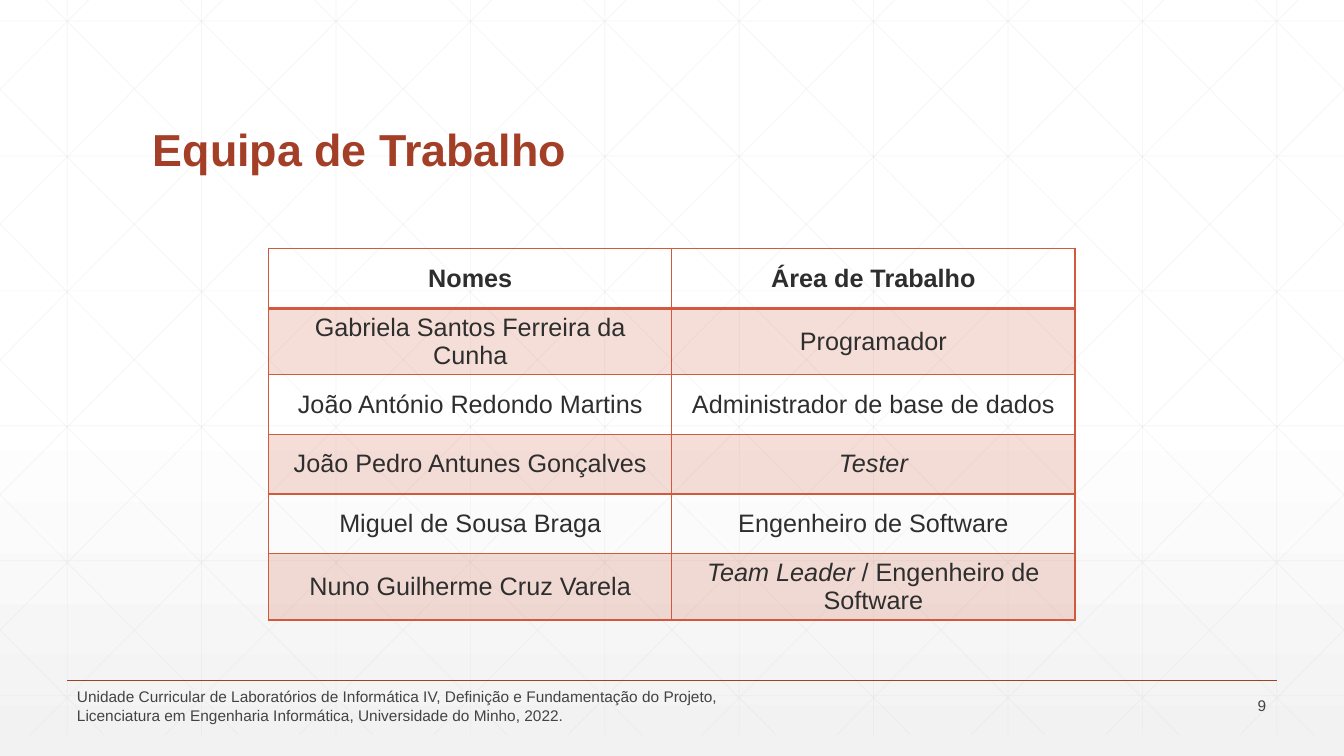
from dataclasses import dataclass
from typing import Any, NamedTuple

from lxml.etree import SubElement
from pptx import Presentation
from pptx.dml.color import RGBColor as Rgb
from pptx.enum.shapes import MSO_CONNECTOR as Connector
from pptx.enum.text import MSO_ANCHOR as Anchor, MSO_AUTO_SIZE as AutoSize, PP_ALIGN as Align
from pptx.oxml.ns import qn
from pptx.util import Cm, Pt


@dataclass(frozen=True)
class Theme:
    """Colours, font and type sizes of the slide."""
    font: str = "Arial"
    heading: str = "A43F27"
    accent: str = "D15A3E"
    body: str = "2D2E2D"
    footer: str = "424342"
    mesh: str = "D9D9D9"
    paper: str = "FFFFFF"
    paper_end: str = "F2F2F2"
    title_size: int = 32
    table_size: int = 18
    footer_size: int = 11
    mesh_opacity: int = 25
    band_opacity: int = 20


class Segment(NamedTuple):
    """A straight line between two points, in centimetres."""
    x1: float
    y1: float
    x2: float
    y2: float

    def mirrored(self) -> "Segment":
        """Reflect the line about the vertical middle of the slide."""
        return Segment(WIDTH - self.x1, self.y1, WIDTH - self.x2, self.y2)


class Span(NamedTuple):
    """A stretch of text in one style."""
    text: str
    italic: bool = False


class Member(NamedTuple):
    """A person of the team and the parts of their role."""
    name: str
    role: tuple[Span, ...]


class FooterNote(NamedTuple):
    """A small text at the foot of the slide, in centimetres."""
    text: str
    left: float
    width: float
    align: Align


THEME = Theme()
WIDTH, HEIGHT = 33.87, 19.05
MESH_TOP, MESH_BOTTOM = -0.53, 18.52
MESH_STEP = WIDTH / 10
MESH_ROW_TOP, MESH_ROW_STEP = 0.53, 3.4
DIAGONAL_START, DIAGONAL_RUN = 0.63, 18.93
HEADINGS = ("Nomes", "Área de Trabalho")
TEAM = (
    Member("Gabriela Santos Ferreira da Cunha", (Span("Programador"),)),
    Member("João António Redondo Martins", (Span("Administrador de base de dados"),)),
    Member("João Pedro Antunes Gonçalves", (Span("Tester", True),)),
    Member("Miguel de Sousa Braga", (Span("Engenheiro de Software"),)),
    Member("Nuno Guilherme Cruz Varela",
           (Span("Team Leader ", True), Span("/ Engenheiro de Software"))),
)
FOOTER = (
    FooterNote("9", 29.62, 2.54, Align.RIGHT),
    FooterNote("Unidade Curricular de Laboratórios de Informática IV, Definição e "
               "Fundamentação do Projeto, Licenciatura em Engenharia Informática, "
               "Universidade do Minho, 2022.", 1.69, 17.02, Align.LEFT),
)


def apply(target: Any, values: dict[str, Any]) -> None:
    """Set each named attribute on the target."""
    for attribute, value in values.items():
        setattr(target, attribute, value)


def set_opacity(parent: Any, percent: int) -> None:
    """Make the RGB colour found under an XML element see-through."""
    colour = next(parent.iter(qn("a:srgbClr")))
    SubElement(colour, qn("a:alpha"), val=str(percent * 1000))


def write(paragraph: Any, spans: tuple[Span, ...], size: int, colour: str,
          align: Align, bold: bool = False) -> None:
    """Write styled runs into a paragraph."""
    paragraph.alignment = align
    for span in spans:
        run = paragraph.add_run()
        run.text = span.text
        apply(run.font, {"name": THEME.font, "size": Pt(size), "bold": bold,
                         "italic": span.italic})
        run.font.color.rgb = Rgb.from_string(colour)


def draw_line(slide: Any, segment: Segment, colour: str, weight: float,
              opacity: int = 100) -> None:
    """Draw one straight line without a shadow."""
    line = slide.shapes.add_connector(Connector.STRAIGHT, *map(Cm, segment))
    line.line.width = Pt(weight)
    line.line.color.rgb = Rgb.from_string(colour)
    properties = line._element.spPr
    if opacity < 100:
        set_opacity(properties, opacity)
    SubElement(properties, qn("a:effectLst"))


def diagonal(start: float) -> Segment:
    """Give a falling diagonal, cut at the sides of the slide."""
    slope = (MESH_BOTTOM - MESH_TOP) / DIAGONAL_RUN
    left, right = max(start, 0), min(start + DIAGONAL_RUN, WIDTH)
    return Segment(left, MESH_TOP + (left - start) * slope,
                   right, MESH_TOP + (right - start) * slope)


def draw_background(slide: Any) -> None:
    """Paint the gradient and the mesh of fine lines."""
    fill = slide.background.fill
    fill.gradient()
    fill.gradient_angle = 270
    for stop, position, colour in zip(fill.gradient_stops, (0.53, 1),
                                      (THEME.paper, THEME.paper_end)):
        stop.position = position
        stop.color.rgb = Rgb.from_string(colour)
    columns = [(i + 0.5) * MESH_STEP for i in range(10)]
    rows = [MESH_ROW_TOP + i * MESH_ROW_STEP for i in range(6)]
    falling = [diagonal(DIAGONAL_START + i * MESH_STEP) for i in range(-5, 10)]
    mesh = [Segment(x, MESH_TOP, x, MESH_BOTTOM) for x in columns]
    mesh += [Segment(0, y, WIDTH, y) for y in rows]
    mesh += falling + [segment.mirrored() for segment in falling]
    for segment in mesh:
        draw_line(slide, segment, THEME.mesh, 0.5, THEME.mesh_opacity)


def draw_title(slide: Any, heading: str) -> None:
    """Place the heading in the title placeholder, above the mesh."""
    title = slide.shapes.title
    apply(title, {"left": Cm(3.6), "top": Cm(1.4), "width": Cm(26.67), "height": Cm(3.17)})
    apply(title.text_frame, {"vertical_anchor": Anchor.BOTTOM, "word_wrap": True,
                             "auto_size": AutoSize.NONE})
    paragraph = title.text_frame.paragraphs[0]
    paragraph.line_spacing = 0.9
    write(paragraph, (Span(heading),), THEME.title_size, THEME.heading, Align.LEFT, True)
    slide.shapes._spTree.append(title._element)


def draw_footer(slide: Any) -> None:
    """Draw the rule, the page number and the course note."""
    draw_line(slide, Segment(1.69, 17.14, WIDTH - 1.69, 17.14), THEME.heading, 1)
    for note in FOOTER:
        box = slide.shapes.add_textbox(Cm(note.left), Cm(17.48), Cm(note.width), Cm(0.61))
        apply(box.text_frame, {"word_wrap": True, "auto_size": AutoSize.NONE,
                               "vertical_anchor": Anchor.MIDDLE})
        write(box.text_frame.paragraphs[0], (Span(note.text),), THEME.footer_size,
              THEME.footer, note.align)


def format_cell(cell: Any, row: int) -> None:
    """Give a cell its borders and its band fill."""
    cell.vertical_anchor = Anchor.MIDDLE
    properties = cell._tc.get_or_add_tcPr()
    heavy_side = {0: "B", 1: "T"}.get(row)
    for side in "LRTB":
        weight = Pt(2 if side == heavy_side else 1)
        border = SubElement(properties, qn(f"a:ln{side}"), w=str(int(weight)))
        paint = SubElement(border, qn("a:solidFill"))
        SubElement(paint, qn("a:srgbClr"), val=THEME.accent)
    if row % 2:
        cell.fill.solid()
        cell.fill.fore_color.rgb = Rgb.from_string(THEME.accent)
        set_opacity(properties.find(qn("a:solidFill")), THEME.band_opacity)
    else:
        cell.fill.background()


def draw_team(slide: Any) -> None:
    """Draw the table of team members and roles."""
    lines = [tuple((Span(heading),) for heading in HEADINGS)]
    lines += [((Span(member.name),), member.role) for member in TEAM]
    table = slide.shapes.add_table(len(lines), len(HEADINGS), Cm(6.77), Cm(6.27),
                                   Cm(20.32), Cm(1.5 * len(lines))).table
    apply(table, {"first_row": False, "horz_banding": False})
    for row, line in enumerate(lines):
        for column, spans in enumerate(line):
            cell = table.cell(row, column)
            format_cell(cell, row)
            write(cell.text_frame.paragraphs[0], spans, THEME.table_size, THEME.body,
                  Align.CENTER, row == 0)


def main() -> None:
    """Build the team slide and save it."""
    deck = Presentation()
    apply(deck, {"slide_width": Cm(WIDTH), "slide_height": Cm(HEIGHT)})
    slide = deck.slides.add_slide(deck.slide_layouts.get_by_name("Title Only"))
    draw_background(slide)
    draw_title(slide, "Equipa de Trabalho")
    draw_footer(slide)
    draw_team(slide)
    deck.save("out.pptx")


main()
